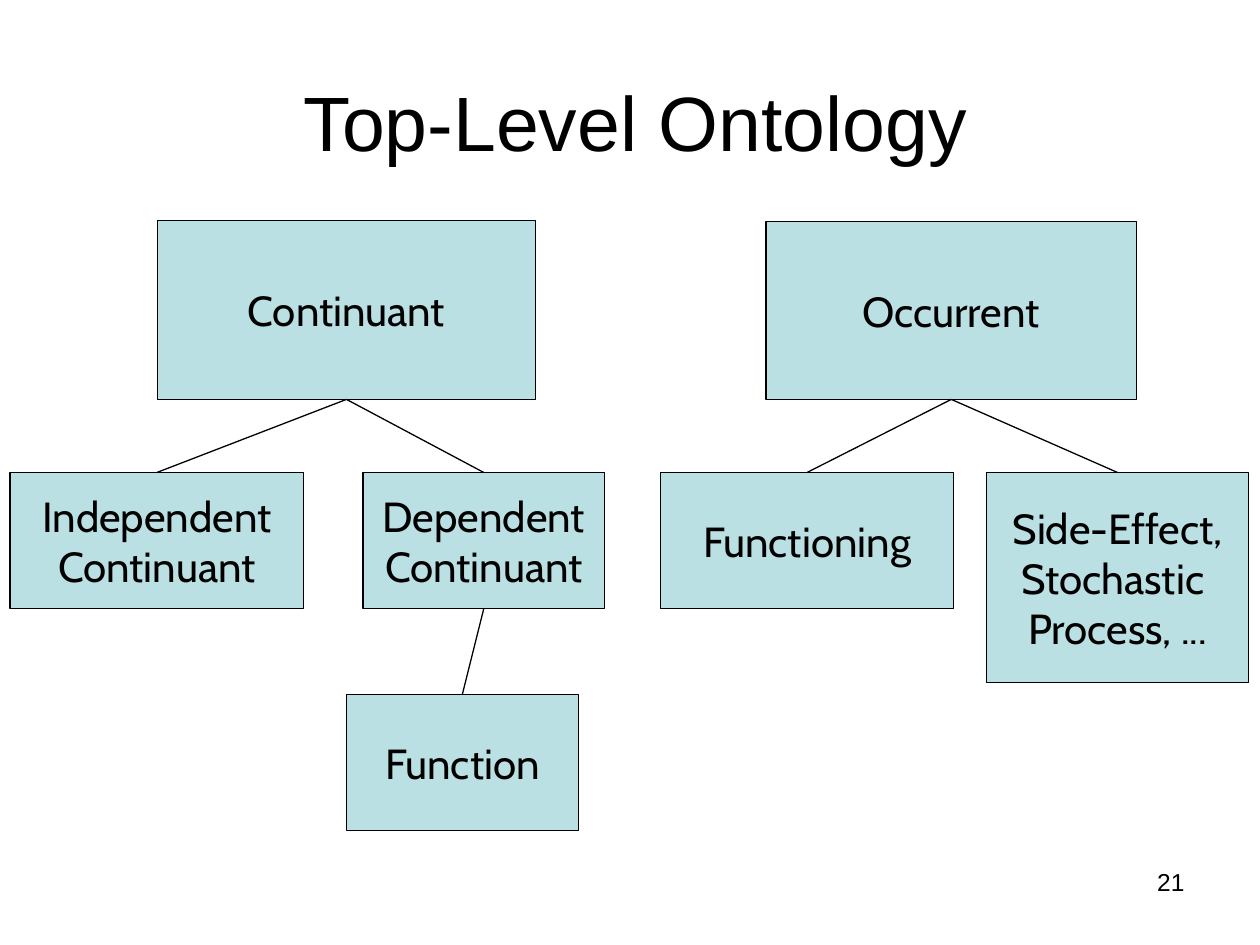
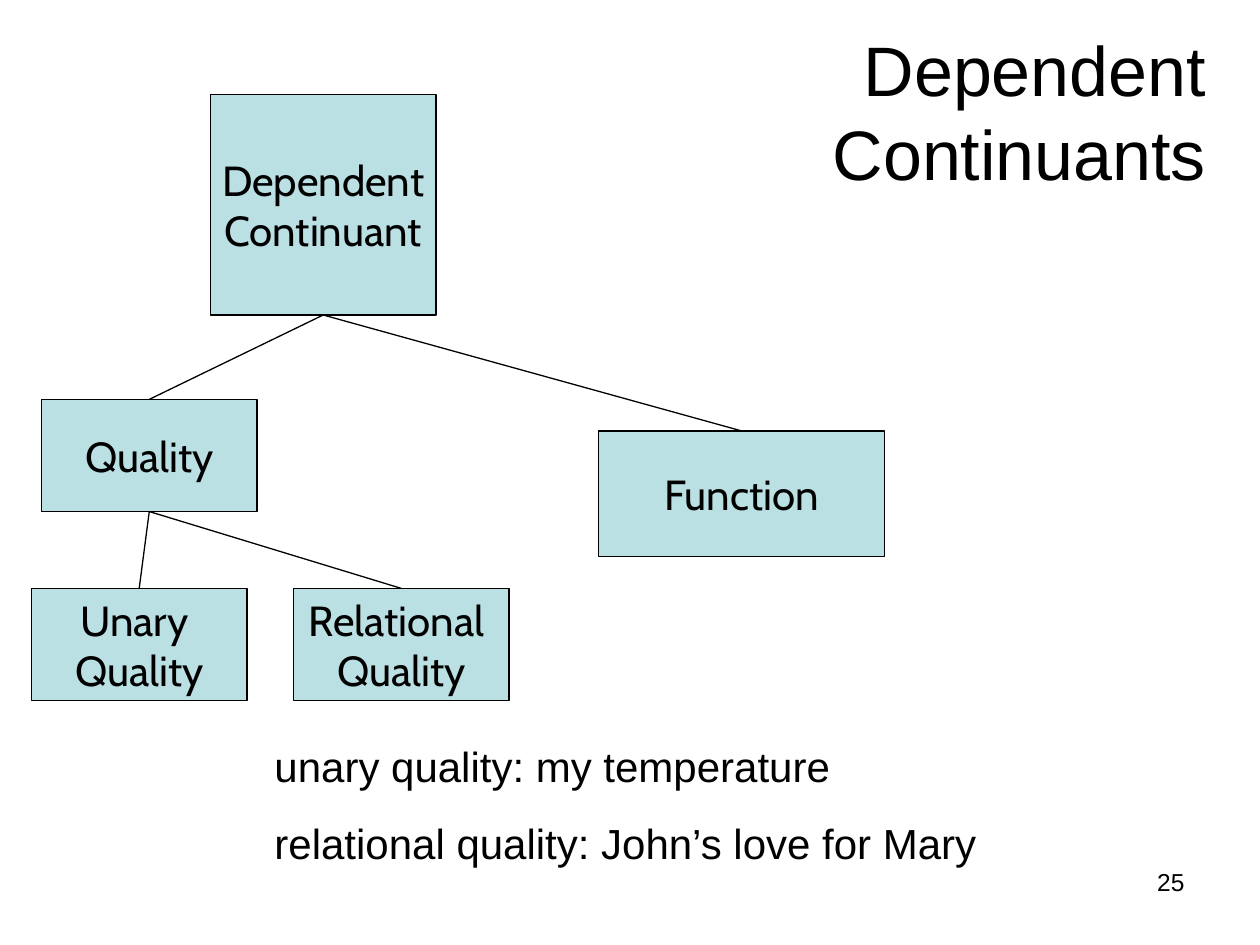
from dataclasses import dataclass

from lxml.etree import SubElement
from pptx import Presentation
from pptx.dml.color import RGBColor
from pptx.enum.shapes import MSO_CONNECTOR, MSO_SHAPE
from pptx.enum.text import MSO_ANCHOR, MSO_AUTO_SIZE, PP_ALIGN
from pptx.oxml.ns import qn
from pptx.util import Inches, Pt

COLORS = {"ink": "000000", "node": "BBE0E3", "page": "FFFFFF"}
TITLE_FONT = "Arial"
NODE_FONT = "Cabin"
BOTTOM, TOP = 2, 0


@dataclass(frozen=True)
class Node:
    key: str
    text: str
    left: float
    top: float
    width: float
    height: float
    parent: str = ""


@dataclass(frozen=True)
class Tree:
    title: str
    title_top: float
    title_size: int
    title_align: PP_ALIGN
    number: str
    nodes: tuple[Node, ...]
    notes: tuple[str, ...] = ()


TREES = (
    Tree("Top-Level Ontology", 0.33, 44, PP_ALIGN.CENTER, "21", (
        Node("continuant", "Continuant", 1.25, 1.75, 3, 1.42),
        Node("occurrent", "Occurrent", 6.08, 1.76, 2.94, 1.41),
        Node("independent", "Independent\nContinuant", 0.08, 3.75, 2.33, 1.08, "continuant"),
        Node("dependent", "Dependent\nContinuant", 2.88, 3.75, 1.92, 1.08, "continuant"),
        Node("functioning", "Functioning", 5.24, 3.75, 2.33, 1.08, "occurrent"),
        Node("process", " Side-Effect, \nStochastic \nProcess, ...", 7.83, 3.75, 2.08, 1.67, "occurrent"),
        Node("function", "Function", 2.75, 5.51, 1.84, 1.08, "dependent"),
    )),
    Tree("Dependent\nContinuants", 0.25, 40, PP_ALIGN.RIGHT, "25", (
        Node("dependent", "Dependent\nContinuant", 1.67, 0.75, 1.79, 1.75),
        Node("quality", "Quality", 0.33, 3.17, 1.71, 0.89, "dependent"),
        Node("function", "Function", 4.75, 3.42, 2.27, 1, "dependent"),
        Node("unary", "Unary \nQuality", 0.25, 4.67, 1.71, 0.89, "quality"),
        Node("relational", "Relational \nQuality", 2.33, 4.67, 1.71, 0.89, "quality"),
    ), ("unary quality: my temperature", "relational quality: John’s love for Mary")),
)


def rgb(name: str) -> RGBColor:
    return RGBColor.from_string(COLORS[name])


def write(tf, paragraphs, font: str, size: int, align, anchor=MSO_ANCHOR.TOP,
          wrap: bool = True, gap: float = 0) -> None:
    frame = {"auto_size": MSO_AUTO_SIZE.NONE, "word_wrap": wrap, "vertical_anchor": anchor,
             "margin_left": Inches(0.1), "margin_right": Inches(0.1),
             "margin_top": Inches(0.05), "margin_bottom": Inches(0.05)}
    for name, value in frame.items():
        setattr(tf, name, value)
    for i, text in enumerate(paragraphs):
        p = tf.add_paragraph() if i else tf.paragraphs[0]
        p.text = text
        p.alignment = align
        p.space_before = Pt(gap if i else 0)
        for r in p.runs:
            for name, value in {"name": font, "size": Pt(size)}.items():
                setattr(r.font, name, value)
            r.font.color.rgb = rgb("ink")


def add_title(s, tree: Tree) -> None:
    sp = s.shapes.title
    place = {"left": 0.42, "top": tree.title_top, "width": 9.25, "height": 1.25}
    for name, value in place.items():
        setattr(sp, name, Inches(value))
    write(sp.text_frame, [tree.title], TITLE_FONT, tree.title_size, tree.title_align, MSO_ANCHOR.MIDDLE)


def add_node(s, node: Node):
    box = map(Inches, (node.left, node.top, node.width, node.height))
    sp = s.shapes.add_shape(MSO_SHAPE.RECTANGLE, *box)
    sp.shadow.inherit = False
    sp.fill.solid()
    sp.fill.fore_color.rgb = rgb("node")
    sp.line.color.rgb = rgb("ink")
    sp.line.width = Pt(0.75)
    write(sp.text_frame, node.text.split("\n"), NODE_FONT, 24,
          PP_ALIGN.CENTER, MSO_ANCHOR.MIDDLE, wrap=False)
    return sp


def add_branch(s, parent, child) -> None:
    line = s.shapes.add_connector(MSO_CONNECTOR.STRAIGHT, 0, 0, 0, 0)
    line.begin_connect(parent, BOTTOM)
    line.end_connect(child, TOP)
    line.line.color.rgb = rgb("ink")
    line.line.width = Pt(0.75)
    SubElement(line._element.spPr, qn("a:effectLst"))


def add_text(s, box: tuple[float, ...], paragraphs, size: int, align, gap: float = 0) -> None:
    sp = s.shapes.add_textbox(*map(Inches, box))
    write(sp.text_frame, paragraphs, TITLE_FONT, size, align, gap=gap)


def add_tree(prs, tree: Tree) -> None:
    s = prs.slides.add_slide(prs.slide_layouts[5])
    s.background.fill.solid()
    s.background.fill.fore_color.rgb = rgb("page")
    add_title(s, tree)
    shapes = {node.key: add_node(s, node) for node in tree.nodes}
    for node in tree.nodes:
        if node.parent:
            add_branch(s, shapes[node.parent], shapes[node.key])
    if tree.notes:
        add_text(s, (2.08, 5.83, 5.92, 1.11), tree.notes, 24, PP_ALIGN.LEFT, gap=15)
    add_text(s, (7.17, 6.83, 2.33, 0.52), [tree.number], 14, PP_ALIGN.RIGHT)


def main() -> None:
    prs = Presentation()
    prs.slide_width, prs.slide_height = Inches(10), Inches(7.5)
    for tree in TREES:
        add_tree(prs, tree)
    prs.save("out.pptx")


if __name__ == "__main__":
    main()
